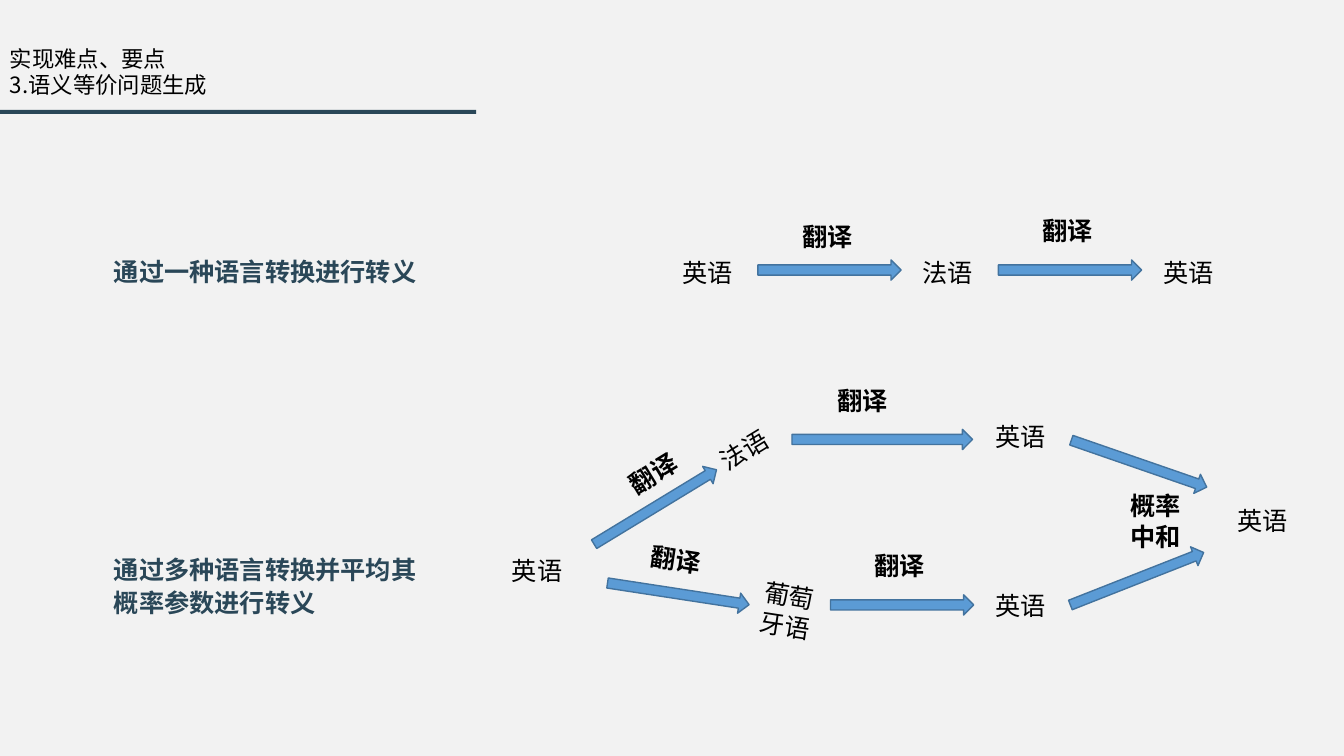
from dataclasses import dataclass

from lxml import etree
from pptx import Presentation
from pptx.dml.color import RGBColor
from pptx.enum.lang import MSO_LANGUAGE_ID
from pptx.enum.shapes import MSO_SHAPE
from pptx.enum.text import MSO_AUTO_SIZE
from pptx.oxml.ns import qn
from pptx.util import Cm, Pt

RECTANGLE = MSO_SHAPE.RECTANGLE
RIGHT_ARROW = MSO_SHAPE.RIGHT_ARROW
GROW = MSO_AUTO_SIZE.SHAPE_TO_FIT_TEXT
FIXED = MSO_AUTO_SIZE.NONE
CHINESE = MSO_LANGUAGE_ID.SIMPLIFIED_CHINESE


@dataclass(frozen=True)
class Theme:
    background: RGBColor = RGBColor(0xF2, 0xF2, 0xF2)
    navy: RGBColor = RGBColor(0x2A, 0x47, 0x58)
    black: RGBColor = RGBColor(0, 0, 0)
    arrow: RGBColor = RGBColor(0x5B, 0x9B, 0xD5)
    arrow_edge: RGBColor = RGBColor(0x43, 0x73, 0x9E)
    heading_font: str = "Noto Sans CJK SC"
    label_font: str = "Calibri"
    heading_size: Pt = Pt(16)
    body_size: Pt = Pt(18)


THEME = Theme()
UP_ANGLE, DOWN_ANGLE = 328.7, 8.7


def add_text(slide, lines, left, top, width, height, size, color, font, bold=False, fit=GROW):
    box = slide.shapes.add_textbox(Cm(left), Cm(top), Cm(width), Cm(height))
    frame = box.text_frame
    frame.word_wrap = True
    frame.auto_size = fit
    frame.text = "\n".join(lines)
    for paragraph in frame.paragraphs:
        for run in paragraph.runs:
            run.font.size = size
            run.font.bold = bold
            run.font.name = font
            run.font.color.rgb = color
            run.font.language_id = CHINESE
            if font == THEME.heading_font:
                latin = run.font._element.find(qn("a:latin"))
                east_asian = etree.Element(qn("a:ea"), typeface=font)
                latin.addnext(east_asian)
    return box


def add_heading(slide, text, top, width, height):
    add_text(slide, [text], 0, top, width, height,
             THEME.heading_size, THEME.black, THEME.heading_font)


def add_method(slide, lines, top):
    method = add_text(slide, lines, 2.62, top, 8.76, 2.29, THEME.body_size,
                      THEME.navy, THEME.heading_font, bold=True, fit=FIXED)
    for paragraph in method.text_frame.paragraphs:
        paragraph.line_spacing = 0.8
        paragraph.space_after = Pt(6)


def add_label(slide, text, left, top, angle=0, bold=False):
    height = 1.02 if len(text) == 2 else 1.8
    label = add_text(slide, [text], left, top, 1.85, height, THEME.body_size,
                     THEME.black, THEME.label_font, bold)
    label.rotation = angle


def add_block(slide, preset, left, top, width, height, fill):
    block = slide.shapes.add_shape(preset, Cm(left), Cm(top), Cm(width), Cm(height))
    block.shadow.inherit = False
    block.fill.solid()
    block.fill.fore_color.rgb = fill
    block.line.fill.background()
    return block


def add_arrow(slide, left, top, angle=0, length=3.61):
    arrow = add_block(slide, RIGHT_ARROW, left, top, length, 0.51, THEME.arrow)
    arrow.line.color.rgb = THEME.arrow_edge
    arrow.line.width = Pt(1)
    arrow.rotation = angle


def add_header(slide):
    bar_width = 6
    for column in range(2):
        add_block(slide, RECTANGLE, column * bar_width, 2.77, bar_width, 0.1, THEME.navy)
    add_heading(slide, "实现难点、要点", 1.02, 9.73, 0.94)
    add_heading(slide, "3.语义等价问题生成", 1.68, 11, 1.63)


def add_single_chain(slide):
    add_method(slide, ["通过一种语言转换进行转义"], 6.48)
    step = 6.06
    for column, language in enumerate(("英语", "法语", "英语")):
        add_label(slide, language, 16.94 + column * step, 6.35)
    for column, caption_top in enumerate((5.46, 5.31)):
        add_arrow(slide, 19.1 + column * step, 6.55)
        add_label(slide, "翻译", 19.97 + column * step, caption_top, bold=True)


def add_branching_chain(slide):
    add_method(slide, ["通过多种语言转换并平均其", "概率参数进行转义"], 14)
    languages = (
        ("英语", 12.65, 13.87, 0),
        ("法语", 17.86, 10.8, UP_ANGLE),
        ("葡萄牙语", 18.95, 14.5, DOWN_ANGLE),
        ("英语", 24.84, 10.49, 0),
        ("英语", 24.84, 14.76, 0),
        ("英语", 30.94, 12.62, 0),
    )
    captions = (
        ("翻译", 15.57, 11.4, UP_ANGLE),
        ("翻译", 16.15, 13.59, DOWN_ANGLE),
        ("翻译", 20.85, 9.58, 0),
        ("翻译", 21.79, 13.74, 0),
        ("概率中和", 28.24, 12.24, 0),
    )
    arrows = (
        (14.71, 12.52, UP_ANGLE),
        (15.29, 14.71, DOWN_ANGLE),
        (19.96, 10.82, 0, 4.55),
        (20.93, 14.99, 0),
        (26.9, 11.43, 19.1),
        (26.85, 14.33, 338.5),
    )
    for arrow in arrows:
        add_arrow(slide, *arrow)
    for language in languages:
        add_label(slide, *language)
    for caption in captions:
        add_label(slide, *caption, bold=True)


def main():
    deck = Presentation()
    deck.slide_width = Cm(33.87)
    deck.slide_height = Cm(19.05)
    slide = deck.slides.add_slide(deck.slide_layouts[6])
    slide.background.fill.solid()
    slide.background.fill.fore_color.rgb = THEME.background
    add_header(slide)
    add_single_chain(slide)
    add_branching_chain(slide)
    deck.save("out.pptx")


if __name__ == "__main__":
    main()
